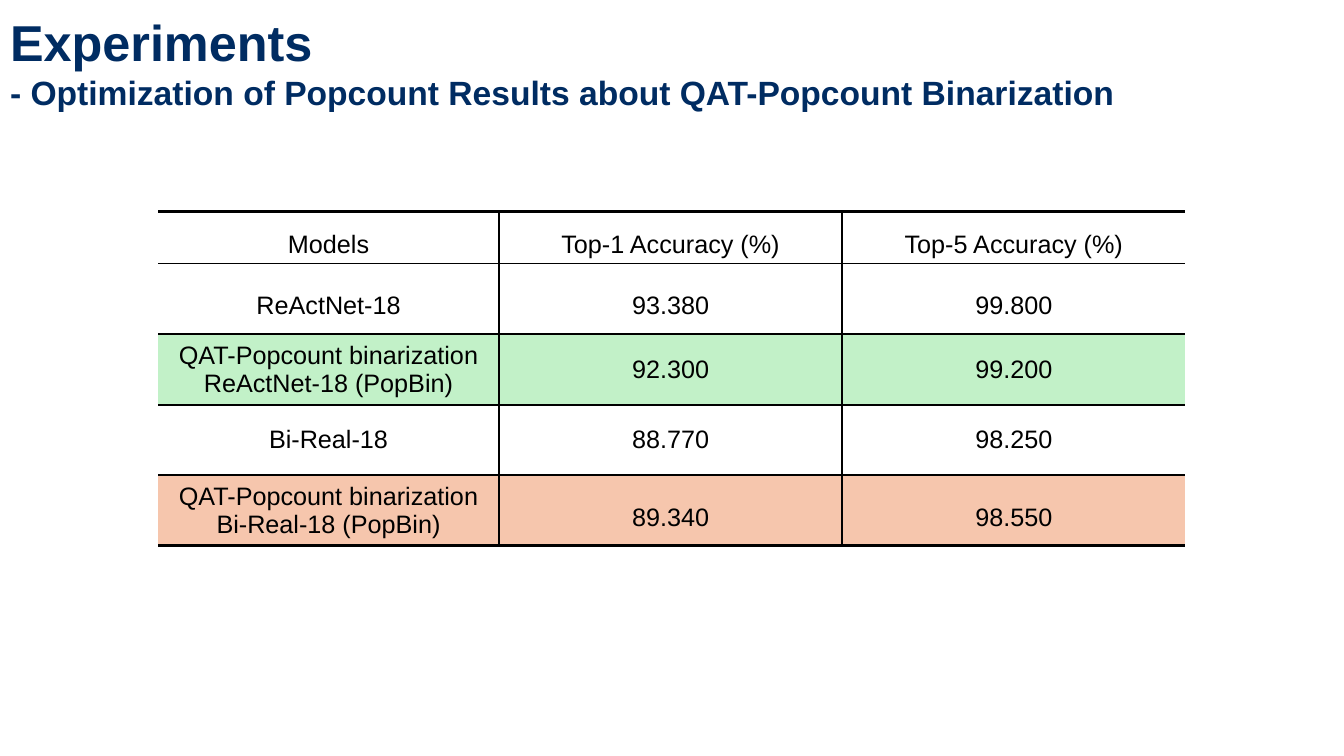
from lxml.etree import SubElement
from pptx import Presentation
from pptx.dml.color import RGBColor
from pptx.enum.text import MSO_ANCHOR as Anchor, MSO_AUTO_SIZE as AutoSize, PP_ALIGN as Align
from pptx.oxml.ns import qn
from pptx.util import Pt

NAVY = RGBColor(0x00, 0x2C, 0x62)
BLACK = RGBColor(0x00, 0x00, 0x00)
GREEN = RGBColor(0xC2, 0xF1, 0xC8)
ORANGE = RGBColor(0xF6, 0xC6, 0xAD)

TITLE_LINES = [
    ("Experiments", 36),
    ("- Optimization of Popcount Results about QAT-Popcount Binarization", 24),
]
ACCURACY_ROWS = [
    (37.1, None, (1.5, 1.5, 1.5), ("Models", "Top-1 Accuracy (%)", "Top-5 Accuracy (%)")),
    (50.4, None, (1.5, 1.5, 1.5), ("ReActNet-18", "93.380", "99.800")),
    (50.4, GREEN, (1, 1, 1),
     ("QAT-Popcount binarization\nReActNet-18 (PopBin)", "92.300", "99.200")),
    (50.4, None, (1, 1, 1), ("Bi-Real-18", "88.770", "98.250")),
    (50.4, ORANGE, (1, 1.5, 1.5),
     ("QAT-Popcount binarization\nBi-Real-18 (PopBin)", "89.340", "98.550")),
]
COLUMN_WIDTHS = (243.4, 245.2, 245.2)


def apply_format(target, values):
    for name, value in values.items():
        setattr(target, name, value)


def style_paragraph(para, size, color, bold, align, spacing):
    apply_format(para, {"alignment": align, "line_spacing": spacing,
                        "space_before": Pt(0), "space_after": Pt(0)})
    for span in para.runs:
        apply_format(span.font, {"name": "Arial", "size": Pt(size), "bold": bold})
        span.font.color.rgb = color


def add_title(page, left, top, width, height):
    title = page.shapes.title
    apply_format(title, {"left": Pt(left), "top": Pt(top),
                         "width": Pt(width), "height": Pt(height)})
    frame = title.text_frame
    frame.text = "\n".join(text for text, size in TITLE_LINES)
    apply_format(frame, {"word_wrap": True, "auto_size": AutoSize.NONE,
                         "vertical_anchor": Anchor.MIDDLE})
    for para, (text, size) in zip(frame.paragraphs, TITLE_LINES):
        style_paragraph(para, size, NAVY, True, Align.LEFT, 1.0)


def set_borders(cell, widths):
    properties = cell._tc.get_or_add_tcPr()
    for side, width in widths.items():
        line = SubElement(properties, qn(f"a:ln{side}"), w=str(Pt(width)))
        if width:
            fill = SubElement(line, qn("a:solidFill"))
            SubElement(fill, qn("a:srgbClr"), val=str(BLACK))
        else:
            SubElement(line, qn("a:noFill"))


def fill_cell(cell, text, color, spacing):
    if color is None:
        cell.fill.background()
    else:
        cell.fill.solid()
        cell.fill.fore_color.rgb = color
    apply_format(cell, {"vertical_anchor": Anchor.MIDDLE,
                        "margin_top": Pt(2.8), "margin_bottom": Pt(2.8)})
    cell.text_frame.text = text
    for para in cell.text_frame.paragraphs:
        style_paragraph(para, 18, BLACK, False, Align.CENTER, float(spacing))


def add_accuracy_table(page, left, top):
    last_row, last_column = len(ACCURACY_ROWS) - 1, len(COLUMN_WIDTHS) - 1
    height = sum(row[0] for row in ACCURACY_ROWS)
    table = page.shapes.add_table(last_row + 1, last_column + 1, Pt(left), Pt(top),
                                  Pt(sum(COLUMN_WIDTHS)), Pt(height)).table
    apply_format(table, {"first_row": False, "horz_banding": False})
    for column, width in zip(table.columns, COLUMN_WIDTHS):
        column.width = Pt(width)
    for r, (row_height, color, spacings, texts) in enumerate(ACCURACY_ROWS):
        table.rows[r].height = Pt(row_height)
        for c, (text, spacing) in enumerate(zip(texts, spacings)):
            cell = table.cell(r, c)
            set_borders(cell, {"L": 1.5 if c > 0 else 0,
                               "R": 1.5 if c < last_column else 0,
                               "T": 1.5 if r > 0 else 2.25,
                               "B": 1.5 if r < last_row else 2.25})
            fill_cell(cell, text, color, spacing)


def main():
    deck = Presentation()
    apply_format(deck, {"slide_width": Pt(960), "slide_height": Pt(540)})
    page = deck.slides.add_slide(deck.slide_layouts[5])
    add_title(page, 0, 0, 960, 87.8)
    add_accuracy_table(page, 113, 151.2)
    deck.save("out.pptx")


if __name__ == "__main__":
    main()
